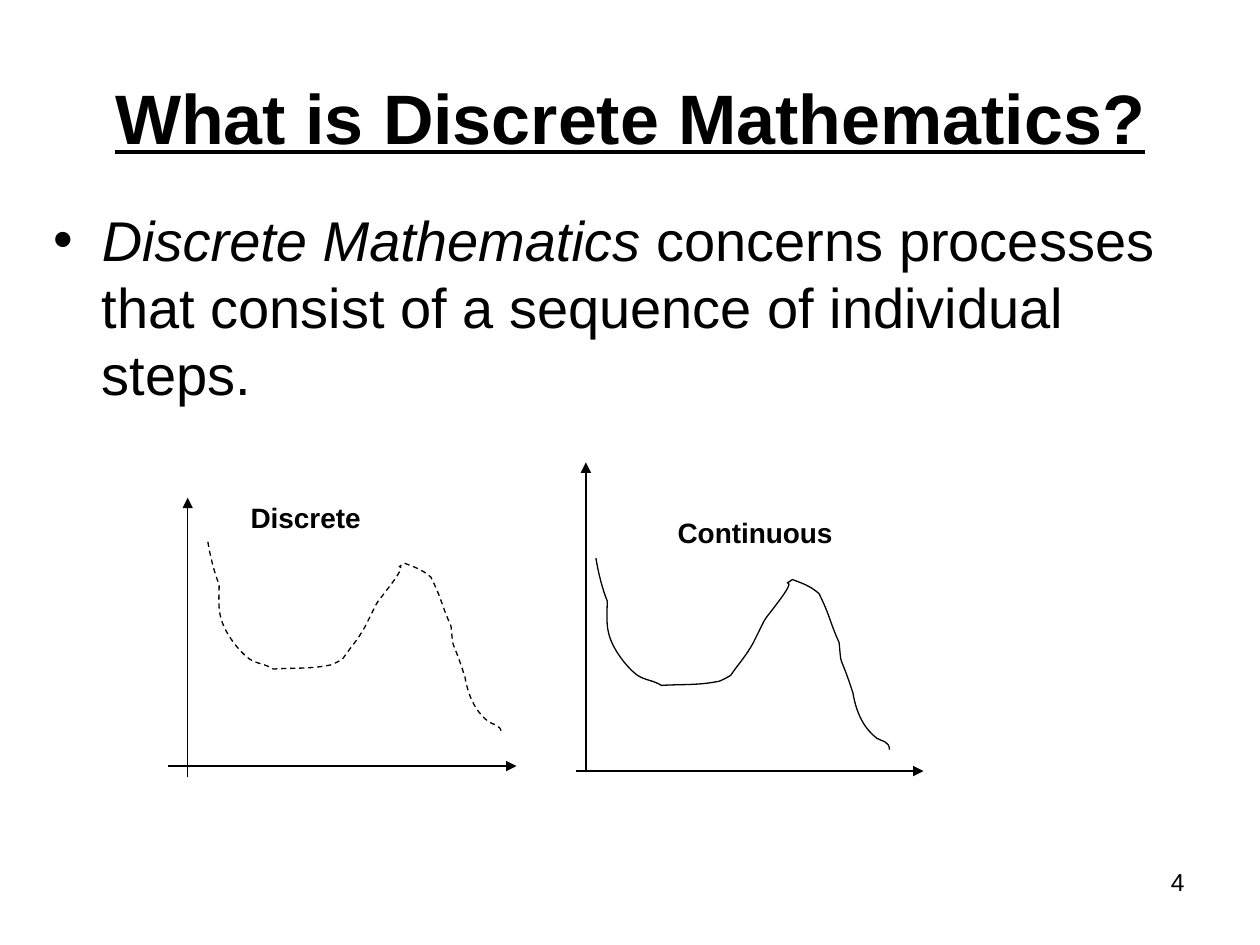
from dataclasses import dataclass

from lxml.etree import SubElement
from pptx import Presentation
from pptx.dml.color import RGBColor
from pptx.enum.dml import MSO_LINE
from pptx.enum.shapes import MSO_CONNECTOR
from pptx.enum.text import MSO_ANCHOR, MSO_AUTO_SIZE, PP_ALIGN
from pptx.oxml.ns import qn
from pptx.util import Pt

PX = 9144  # 100 px to the inch

# Cubic segments (two controls and an end point) that start at (0, 0)
CURVE = [
    ((2, 12), (5, 24), (9, 34)),
    ((9, 42), (8, 51), (10, 59)),
    ((13, 73), (26, 88), (33, 93)),
    ((39, 97), (46, 97), (52, 101)),
    ((67, 100), (81, 101), (96, 98)),
    ((99, 98), (107, 93), (107, 93)),
    ((113, 84), (119, 78), (125, 67)),
    ((137, 43), (131, 53), (143, 37)),
    ((164, 10), (144, 25), (156, 17)),
    ((164, 20), (170, 22), (177, 28)),
    ((186, 46), (185, 49), (193, 67)),
    ((195, 87), (193, 75), (201, 98)),
    ((202, 101), (204, 107), (204, 107)),
    ((207, 125), (214, 136), (223, 143)),
    ((226, 145), (233, 145), (233, 152)),
]


@dataclass(frozen=True)
class Theme:
    font: str = "Arial"
    ink: RGBColor = RGBColor(0, 0, 0)
    title: int = 40
    body: int = 32
    label: int = 16
    number: int = 14
    line: float = 0.75


@dataclass(frozen=True)
class Plot:
    """One graph; every place is relative to its box."""
    label: str
    box: tuple
    label_box: tuple
    horizontal: tuple
    vertical: tuple
    curve_start: tuple
    dashed: bool = False


THEME = Theme()
PLOTS = [
    Plot("Discrete", (133, 392, 277, 225), (56, 0, 142, 37),
         ((0, 216), (277, 216)), ((16, 225), (16, 3)), (32, 38), dashed=True),
    Plot("Continuous", (457, 367, 276, 245), (71, 37, 186, 37),
         ((0, 245), (276, 245)), ((8, 245), (8, 0)), (16, 76)),
]


def place(shape, box):
    shape.left, shape.top, shape.width, shape.height = (n * PX for n in box)


def add_span(para, text, size, bold=False, italic=False, underline=False):
    span = para.add_run()
    span.text = text
    font = span.font
    font.name, font.size, font.color.rgb = THEME.font, Pt(size), THEME.ink
    font.bold, font.italic, font.underline = bold, italic, underline


def add_text_box(page, box):
    shape = page.shapes.add_textbox(*(n * PX for n in box))
    shape.text_frame.word_wrap = True
    return shape.text_frame.paragraphs[0]


def add_title(page, box):
    title = page.shapes.title
    place(title, box)
    frame = title.text_frame
    frame.auto_size = MSO_AUTO_SIZE.NONE
    frame.vertical_anchor = MSO_ANCHOR.MIDDLE
    para = frame.paragraphs[0]
    para.alignment = PP_ALIGN.CENTER
    add_span(para, "What is Discrete Mathematics?", THEME.title,
             bold=True, underline=True)


def add_body(page, box):
    para = add_text_box(page, box)
    properties = para._p.get_or_add_pPr()
    properties.set("marL", str(38 * PX))
    properties.set("indent", str(-38 * PX))
    SubElement(properties, qn("a:buFont"), typeface=THEME.font)
    SubElement(properties, qn("a:buChar"), char="•")
    add_span(para, "Discrete Mathematics", THEME.body, italic=True)
    add_span(para, " concerns processes that consist of a sequence of "
                   "individual steps.", THEME.body)


def style_line(line):
    line.color.rgb = THEME.ink
    line.width = Pt(THEME.line)


def add_axis(page, start, end):
    axis = page.shapes.add_connector(
        MSO_CONNECTOR.STRAIGHT, *(n * PX for n in start + end))
    style_line(axis.line)
    SubElement(axis.line._get_or_add_ln(), qn("a:tailEnd"), type="triangle")
    SubElement(axis._element.spPr, qn("a:effectLst"))


def bend_segments(freeform):
    """Turn the straight segments of a freeform into those of CURVE."""
    lines = list(freeform._element.iter(qn("a:lnTo")))
    for line, points in zip(lines, CURVE):
        line.tag = qn("a:cubicBezTo")
        for child in list(line):
            line.remove(child)
        for x, y in points:
            SubElement(line, qn("a:pt"), x=str(x * PX), y=str(y * PX))


def add_curve(page, start, dashed):
    left, top = start
    builder = page.shapes.build_freeform(left * PX, top * PX)
    builder.add_line_segments(
        [((left + x) * PX, (top + y) * PX) for _, _, (x, y) in CURVE],
        close=False)
    curve = builder.convert_to_shape()
    bend_segments(curve)
    curve.shadow.inherit = False
    curve.fill.background()
    style_line(curve.line)
    if dashed:
        curve.line.dash_style = MSO_LINE.DASH


def add_plot(page, plot):
    left, top = plot.box[:2]

    def shift(point):
        return left + point[0], top + point[1]

    add_curve(page, shift(plot.curve_start), plot.dashed)
    for start, end in (plot.horizontal, plot.vertical):
        add_axis(page, shift(start), shift(end))
    para = add_text_box(page, shift(plot.label_box) + plot.label_box[2:])
    add_span(para, plot.label, THEME.label, bold=True)


def add_page_number(page, box):
    para = add_text_box(page, box)
    para.alignment = PP_ALIGN.RIGHT
    add_span(para, "4", THEME.number)


def main():
    deck = Presentation()
    deck.slide_width, deck.slide_height = 1000 * PX, 750 * PX
    page = deck.slides.add_slide(deck.slide_layouts.get_by_name("Title Only"))
    add_title(page, (50, 30, 900, 125))
    add_body(page, (33, 158, 900, 495))
    for plot in PLOTS:
        add_plot(page, plot)
    add_page_number(page, (717, 683, 233, 52))
    deck.save("out.pptx")


if __name__ == "__main__":
    main()
